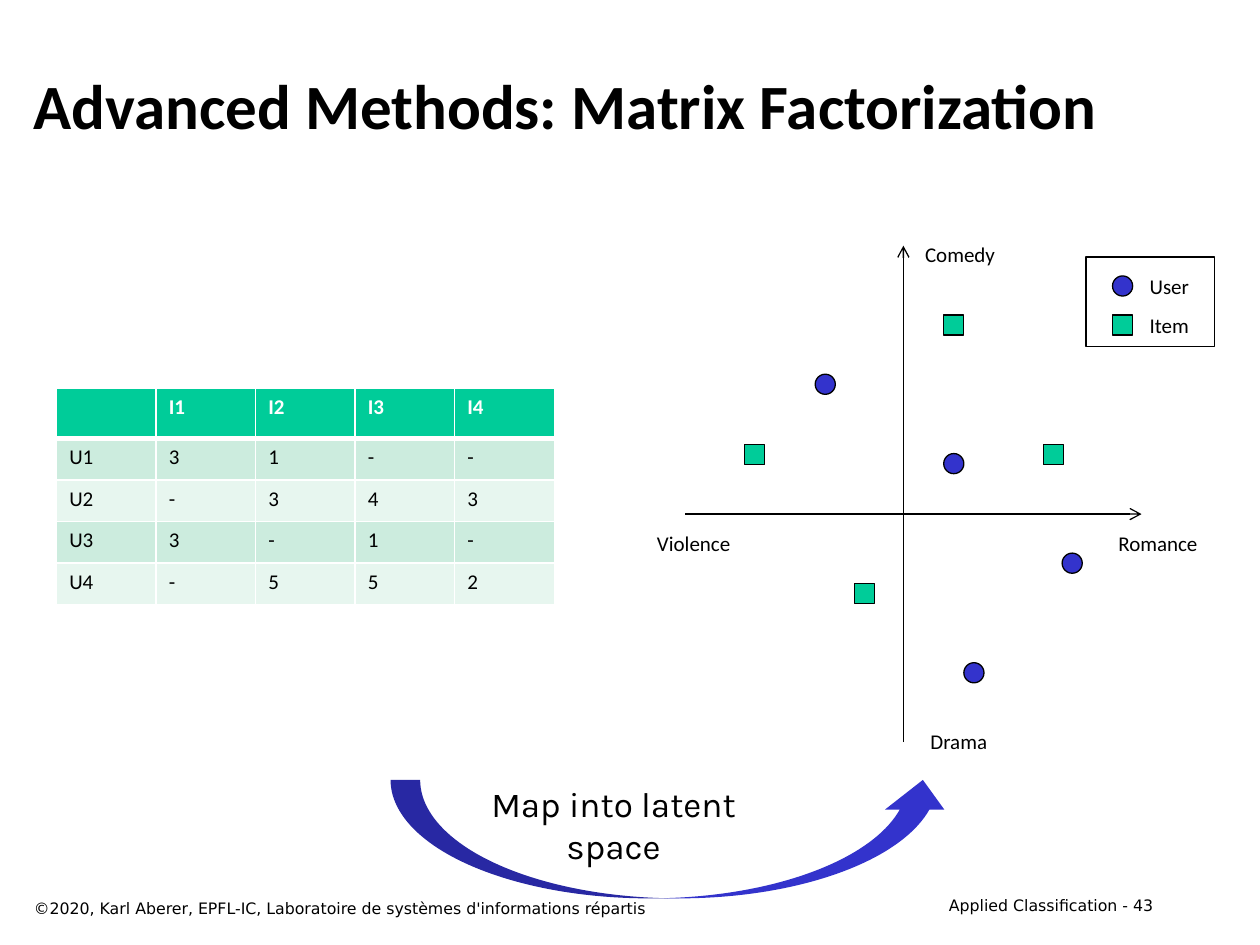
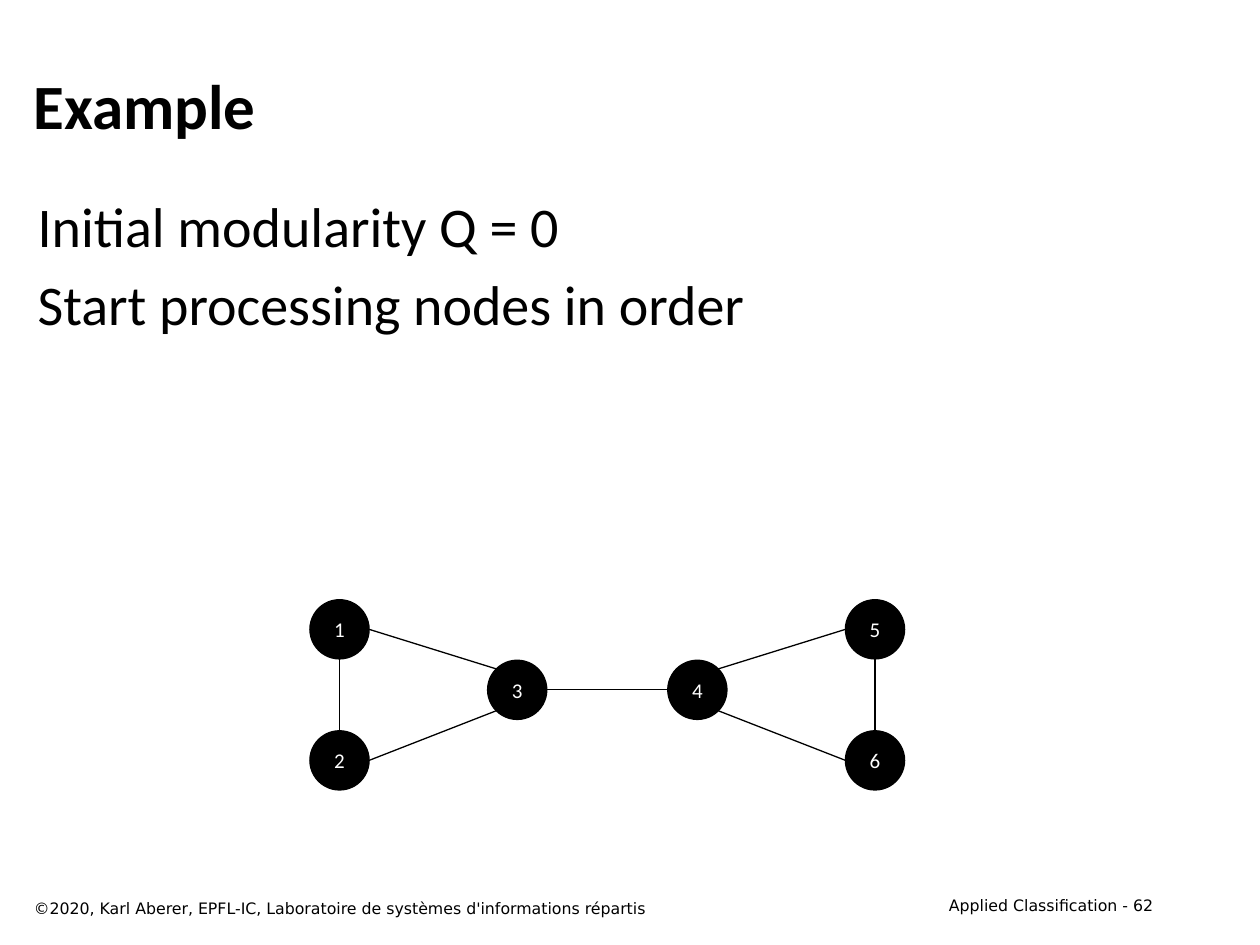
from math import sqrt

from lxml.etree import SubElement
from pptx import Presentation
from pptx.dml.color import RGBColor
from pptx.enum.shapes import MSO_CONNECTOR, MSO_SHAPE as Shape
from pptx.enum.text import MSO_ANCHOR as Anchor, PP_ALIGN as Align
from pptx.oxml import parse_xml
from pptx.oxml.ns import nsdecls, qn
from pptx.util import Inches, Pt

# Shared look
BLACK, WHITE = "000000", "FFFFFF"
GREEN, BLUE = "00CC99", "3333CC"
BAND_FILLS = ("CCECDE", "E7F6EF")
BODY_FONT, FOOTER_FONT, CAPTION_FONT = "Calibri", "DejaVu Sans", "Karla"
COPYRIGHT = "©2020, Karl Aberer, EPFL-IC, Laboratoire de systèmes d'informations répartis"
COURSE = "Applied Classification"

# Matrix factorization slide
RATINGS = [
    ("", "I1", "I2", "I3", "I4"),
    ("U1", "3", "1", "-", "-"),
    ("U2", "-", "3", "4", "3"),
    ("U3", "3", "-", "1", "-"),
    ("U4", "-", "5", "5", "2"),
]
COLUMN_WIDTH, ROW_HEIGHT = 0.79, 0.33
MARKER_SIZE = 0.16
MARKERS = {"User": (Shape.OVAL, BLUE), "Item": (Shape.RECTANGLE, GREEN)}
POINTS = {
    "Item": [(8.28, 3.53), (7.49, 2.5), (6.78, 4.63), (5.91, 3.53)],
    "User": [(6.47, 2.97), (7.65, 5.26), (7.49, 3.6), (8.43, 4.39)],
}
AXES = [((7.17, 5.89), (7.17, 1.95)), ((5.44, 4.08), (9.06, 4.08))]
AXIS_LABELS = [
    ("Romance", 8.77, 4.16, 0.84),
    ("Violence", 5.11, 4.16, 0.79),
    ("Drama", 7.28, 5.73, 0.66),
    ("Comedy", 7.24, 1.87, 0.76),
]
LEGEND = [("User", 2.19), ("Item", 2.5)]

# Example slide
EXAMPLE_LINES = ["Initial modularity Q = 0", "Start processing nodes in order"]
NODE_SIZE = 0.47
NODES = {
    "1": (2.46, 4.76), "2": (2.46, 5.8), "3": (3.87, 5.24),
    "4": (5.3, 5.24), "5": (6.71, 4.76), "6": (6.71, 5.8),
}
# Each end is a node and the direction (right, down) of its point on the rim
EDGES = [
    (("1", (1, 0)), ("3", (-1, -1))),
    (("1", (0, 1)), ("2", (0, -1))),
    (("2", (1, 0)), ("3", (-1, 1))),
    (("3", (1, 0)), ("4", (-1, 0))),
    (("4", (1, -1)), ("5", (-1, 0))),
    (("4", (1, 1)), ("6", (-1, 0))),
    (("6", (0, -1)), ("5", (0, 1))),
]


def color(hex_string):
    return RGBColor.from_string(hex_string)


def write(frame, text, size=12, font=BODY_FONT, fill=BLACK, bold=False,
          align=Align.LEFT, anchor=Anchor.TOP, wrap=True, gap=0):
    frame.word_wrap = wrap
    frame.vertical_anchor = anchor
    for index, line in enumerate(text.split("\n")):
        paragraph = frame.add_paragraph() if index else frame.paragraphs[0]
        paragraph.alignment = align
        if index:
            paragraph.space_before = Pt(gap)
        run = paragraph.add_run()
        run.text = line
        run.font.name, run.font.size, run.font.bold = font, Pt(size), bold
        run.font.color.rgb = color(fill)


def add_text(slide, text, left, top, width, height, **text_format):
    box = slide.shapes.add_textbox(*map(Inches, (left, top, width, height)))
    write(box.text_frame, text, **text_format)


def add_shape(slide, kind, left, top, width, height, fill=None, line=BLACK):
    shape = slide.shapes.add_shape(kind, *map(Inches, (left, top, width, height)))
    shape.shadow.inherit = False
    if fill:
        shape.fill.solid()
        shape.fill.fore_color.rgb = color(fill)
    else:
        shape.fill.background()
    if line:
        shape.line.color.rgb = color(line)
        shape.line.width = Pt(0.75)
    else:
        shape.line.fill.background()
    return shape


def add_line(slide, start, end, arrow=False):
    connector = slide.shapes.add_connector(
        MSO_CONNECTOR.STRAIGHT, *map(Inches, (*start, *end)))
    connector.line.color.rgb = color(BLACK)
    connector.line.width = Pt(0.75)
    properties = connector.element.spPr
    if arrow:
        SubElement(properties.find(qn("a:ln")), qn("a:tailEnd"), type="arrow")
    SubElement(properties, qn("a:effectLst"))


def add_marker(slide, name, left, top):
    kind, fill = MARKERS[name]
    add_shape(slide, kind, left, top, MARKER_SIZE, MARKER_SIZE, fill)


def set_borders(cell, top, bottom):
    widths = {"L": 1, "R": 1, "T": top, "B": bottom}
    for index, (side, width) in enumerate(widths.items()):
        border = parse_xml(
            f'<a:ln{side} {nsdecls("a")} w="{Pt(width)}"><a:solidFill>'
            f'<a:srgbClr val="{WHITE}"/></a:solidFill></a:ln{side}>')
        cell._tc.get_or_add_tcPr().insert(index, border)


def add_ratings_table(slide):
    row_count, column_count = len(RATINGS), len(RATINGS[0])
    table = slide.shapes.add_table(
        row_count, column_count, Inches(0.45), Inches(3.08),
        Inches(COLUMN_WIDTH * column_count), Inches(ROW_HEIGHT * row_count)).table
    for row, values in enumerate(RATINGS):
        header = row == 0
        for column, value in enumerate(values):
            cell = table.cell(row, column)
            cell.fill.solid()
            cell.fill.fore_color.rgb = color(GREEN if header else BAND_FILLS[(row - 1) % 2])
            set_borders(cell, top=3 if row == 1 else 1, bottom=3 if header else 1)
            write(cell.text_frame, value, bold=header, fill=WHITE if header else BLACK)


def add_slide(presentation, title, number):
    slide = presentation.slides.add_slide(presentation.slide_layouts[6])
    add_text(slide, f"{COURSE} - {number}", 7.17, 7.06, 2.08, 0.25,
             size=9, font=FOOTER_FONT, align=Align.RIGHT)
    add_text(slide, title, 0.17, 0.33, 9.08, 1, size=36, bold=True, anchor=Anchor.MIDDLE)
    add_text(slide, COPYRIGHT, 0.17, 7.08, 6.42, 0.25, size=9, font=FOOTER_FONT)
    return slide


def build_factorization(presentation):
    slide = add_slide(presentation, "Advanced Methods: Matrix Factorization", 43)
    add_ratings_table(slide)

    # Latent space
    for start, end in AXES:
        add_line(slide, start, end, arrow=True)
    for name, places in POINTS.items():
        for left, top in places:
            add_marker(slide, name, left, top)
    for label, left, top, width in AXIS_LABELS:
        add_text(slide, label, left, top, width, 0.3, align=Align.CENTER, wrap=False)

    # Legend
    for name, top in LEGEND:
        add_marker(slide, name, 8.83, top)
        add_text(slide, name, 9.02, top - 0.07, 0.52, 0.3, align=Align.CENTER, wrap=False)
    add_shape(slide, Shape.RECTANGLE, 8.62, 2.04, 1.02, 0.71)

    # Mapping arrow
    add_shape(slide, Shape.CURVED_UP_ARROW, 3.1, 6.19, 4.46, 0.94, BLUE, line=None)
    add_text(slide, "Map into latent space", 3.63, 6.16, 2.48, 0.76,
             size=20, font=CAPTION_FONT, align=Align.CENTER)


def rim_point(node, direction):
    """Point on a node's circle in the given direction."""
    radius = NODE_SIZE / 2
    length = sqrt(sum(step * step for step in direction))
    return tuple(corner + radius + radius * step / length
                 for corner, step in zip(NODES[node], direction))


def build_example(presentation):
    slide = add_slide(presentation, "Example", 62)
    add_text(slide, "\n".join(EXAMPLE_LINES), 0.2, 1.47, 9.08, 2.52, size=32, gap=6)
    for name, (left, top) in NODES.items():
        node = add_shape(slide, Shape.OVAL, left, top, NODE_SIZE, NODE_SIZE, BLACK)
        write(node.text_frame, name, fill=WHITE, align=Align.CENTER, anchor=Anchor.MIDDLE)
    for start, end in EDGES:
        add_line(slide, rim_point(*start), rim_point(*end))


def main():
    presentation = Presentation()
    presentation.slide_width, presentation.slide_height = Inches(10), Inches(7.5)
    build_factorization(presentation)
    build_example(presentation)
    presentation.save("out.pptx")


if __name__ == "__main__":
    main()
